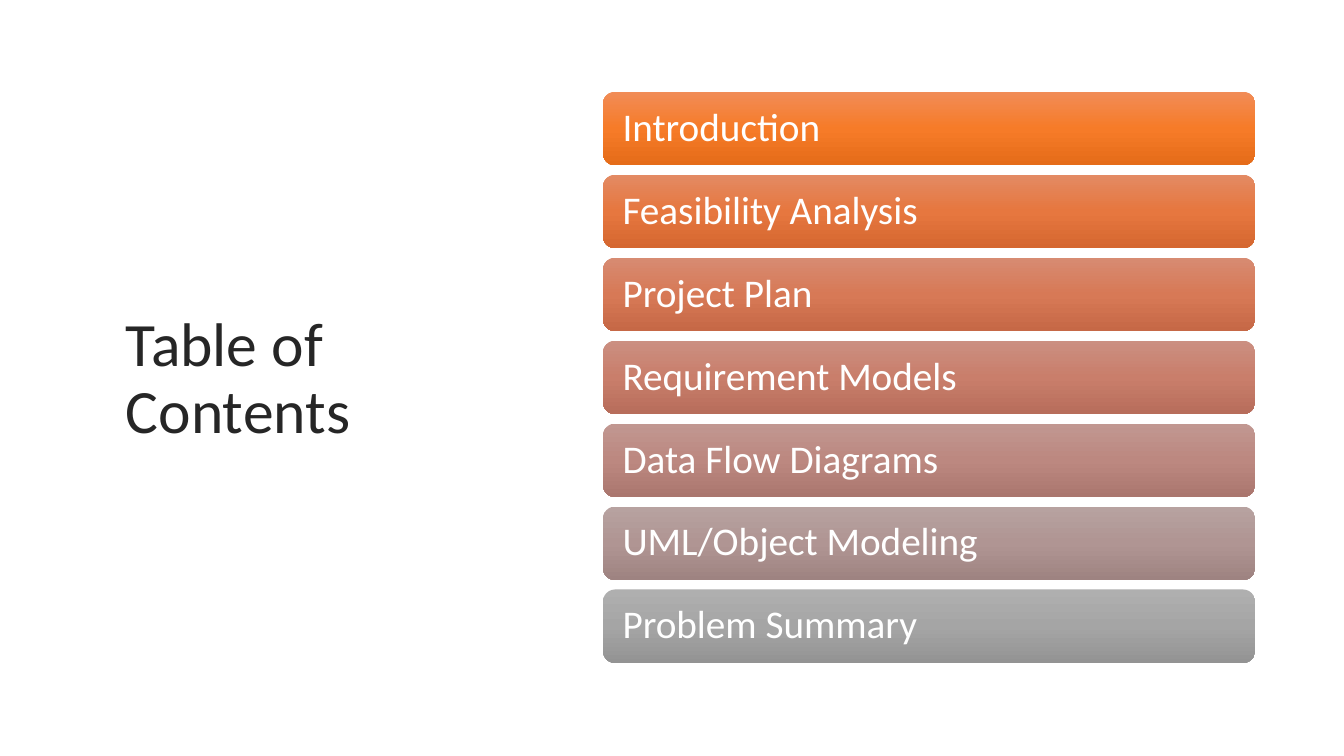
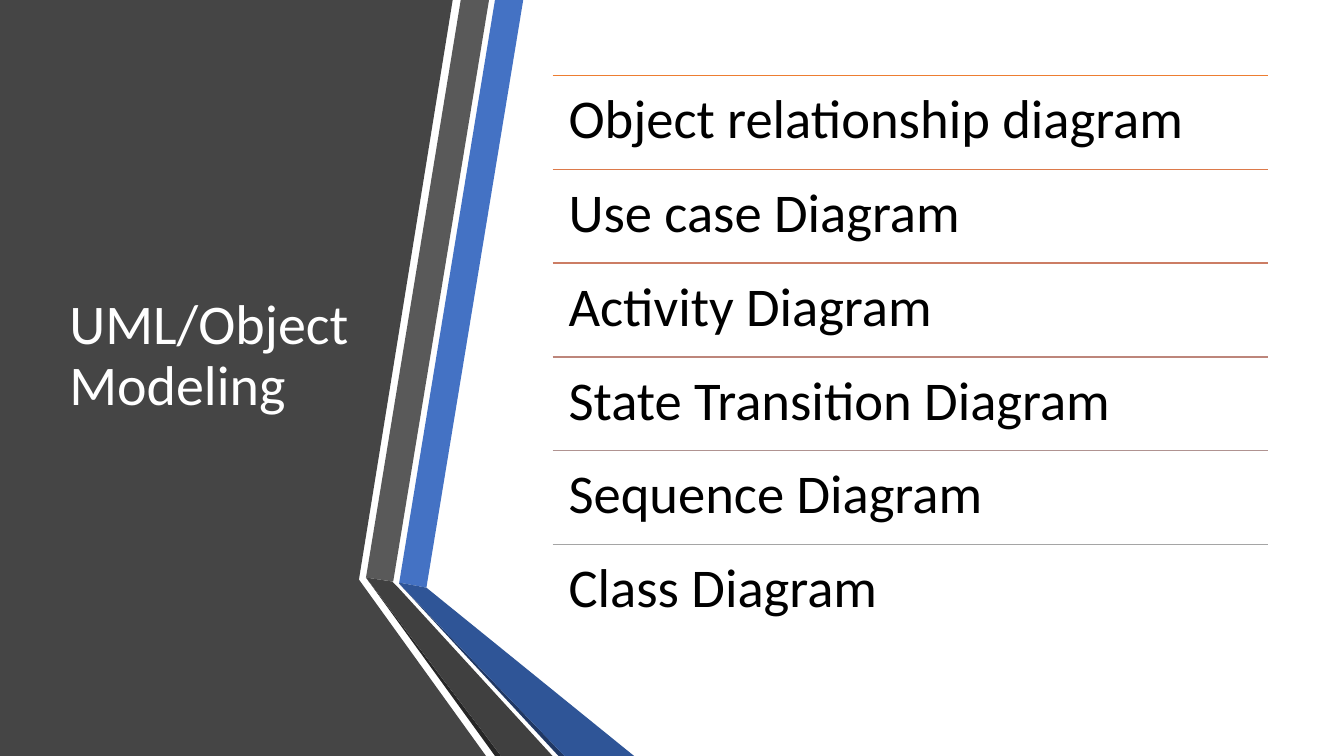
from copy import deepcopy
from dataclasses import dataclass

from pptx import Presentation, util as u
from pptx.dml.color import RGBColor
from pptx.enum import shapes, text
from pptx.oxml.ns import qn
from pptx.oxml.xmlchemy import OxmlElement

SLIDE_W, SLIDE_H = 13.33, 7.5
FONT = "Calibri"
WHITE = RGBColor(0xFF, 0xFF, 0xFF)
BLACK = RGBColor(0x00, 0x00, 0x00)
INK = RGBColor(0x26, 0x26, 0x26)
PANEL = RGBColor(0x45, 0x45, 0x45)
GREY = RGBColor(0x59, 0x59, 0x59)
DARK_GREY = RGBColor(0x40, 0x40, 0x40)
BLUE = RGBColor(0x44, 0x72, 0xC4)
DARK_BLUE = RGBColor(0x2F, 0x55, 0x97)
NAVY = RGBColor(0x20, 0x38, 0x64)


@dataclass(frozen=True)
class Box:
    left: float
    top: float
    width: float
    height: float

    def emu(self) -> list[int]:
        return [u.Inches(v) for v in (self.left, self.top, self.width, self.height)]


@dataclass(frozen=True)
class Stack:
    """Equal rows, one every pitch inches."""
    left: float
    top: float
    width: float
    height: float
    pitch: float

    def row(self, i: int) -> Box:
        return Box(self.left, self.top + i * self.pitch, self.width, self.height)


@dataclass(frozen=True)
class Bar:
    label: str
    stops: tuple[str, str, str]


@dataclass(frozen=True)
class Topic:
    label: str
    rule: str


@dataclass(frozen=True)
class Facet:
    color: RGBColor
    points: tuple[tuple[float, float], ...]


BARS = (
    Bar("Introduction", ("F18C57", "F67B28", "E56C19")),
    Bar("Feasibility Analysis", ("E38A63", "E6773F", "D56730")),
    Bar("Project Plan", ("D78B72", "D77956", "C66846")),
    Bar("Requirement Models", ("CB8F81", "C97E6B", "B76D5B")),
    Bar("Data Flow Diagrams", ("C19791", "BC8880", "AA766E")),
    Bar("UML/Object Modeling", ("B7A2A0", "B09593", "9E8381")),
    Bar("Problem Summary", ("AFAFAF", "A5A5A5", "939393")),
)
BAR_STACK = Stack(5.98, 0.91, 6.47, 0.73, 0.823)

TOPICS = (
    Topic("Object relationship diagram", "ED7D31"),
    Topic("Use case Diagram", "DC7A4B"),
    Topic("Activity Diagram", "CC7D64"),
    Topic("State Transition Diagram", "BD867B"),
    Topic("Sequence Diagram", "B09391"),
    Topic("Class Diagram", "A5A5A5"),
)
TOPIC_STACK = Stack(5.48, 0.75, 7.1, 0.93, 0.93)

FACETS = (
    Facet(PANEL, ((0, 0), (4.49, 0), (3.56, 5.75), (4.82, SLIDE_H), (0, SLIDE_H))),
    Facet(BLUE, ((3.96, 5.78), (4.23, 5.83), (5.19, 0), (4.91, 0))),
    Facet(GREY, ((4.85, 0), (4.57, 0), (3.63, 5.73), (3.9, 5.77))),
    Facet(INK, ((3.63, 5.73), (4.91, SLIDE_H), (4.97, SLIDE_H))),
    Facet(NAVY, ((3.96, 5.79), (5.54, SLIDE_H), (5.6, SLIDE_H))),
    Facet(DARK_BLUE, ((3.96, 5.79), (5.6, SLIDE_H), (6.29, SLIDE_H), (4.23, 5.83), (3.96, 5.78))),
    Facet(DARK_GREY, ((5.48, SLIDE_H), (3.95, 5.83), (3.89, 5.77), (3.63, 5.73), (4.97, SLIDE_H))),
)


def write(sp, label: str, size: float, color: RGBColor, anchor, inset: float | None = None) -> None:
    tf = sp.text_frame
    tf.text = label
    tf.word_wrap = True
    tf.vertical_anchor = anchor
    if inset is not None:
        tf.margin_left = tf.margin_right = tf.margin_top = tf.margin_bottom = u.Inches(inset)
    p = tf.paragraphs[0]
    p.alignment = text.PP_ALIGN.LEFT
    p.line_spacing = 0.9
    font = p.runs[0].font
    font.name, font.size = FONT, u.Pt(size)
    font.color.rgb = color


def add_title(s, label: str, box: Box, size: float, color: RGBColor) -> None:
    sp = s.shapes.add_textbox(*box.emu())
    write(sp, label, size, color, text.MSO_ANCHOR.MIDDLE)


def fill_gradient(sp, colors: tuple[str, ...]) -> None:
    """Fill from top to bottom with evenly spaced colours."""
    sp.fill.gradient()
    sp.fill.gradient_angle = 270
    stop_list = sp._element.spPr.find(qn("a:gradFill")).find(qn("a:gsLst"))
    while len(stop_list) < len(colors):
        stop_list.append(deepcopy(stop_list[0]))
    for i, (stop, color) in enumerate(zip(sp.fill.gradient_stops, colors)):
        stop.position = i / (len(colors) - 1)
        stop.color.rgb = RGBColor.from_string(color)


def add_bar(s, bar: Bar, box: Box) -> None:
    sp = s.shapes.add_shape(shapes.MSO_SHAPE.ROUNDED_RECTANGLE, *box.emu())
    sp.shadow.inherit = False
    sp.line.fill.background()
    fill_gradient(sp, bar.stops)
    write(sp, bar.label, 28, WHITE, text.MSO_ANCHOR.MIDDLE, 0.16)


def add_topic(s, topic: Topic, box: Box) -> None:
    left, top, width, height = box.emu()
    rule = s.shapes.add_connector(shapes.MSO_CONNECTOR.STRAIGHT, left, top, left + width, top)
    rule.line.color.rgb = RGBColor.from_string(topic.rule)
    rule.line.width = u.Pt(1)
    rule._element.spPr.append(OxmlElement("a:effectLst"))
    sp = s.shapes.add_textbox(left, top, width, height)
    write(sp, topic.label, 39, BLACK, text.MSO_ANCHOR.TOP, 0.16)


def add_facet(s, facet: Facet) -> None:
    points = [(u.Inches(x), u.Inches(y)) for x, y in facet.points]
    builder = s.shapes.build_freeform(*points[0])
    builder.add_line_segments(points[1:], close=True)
    sp = builder.convert_to_shape()
    sp.shadow.inherit = False
    sp.fill.solid()
    sp.fill.fore_color.rgb = facet.color
    sp.line.fill.background()


def add_slide(prs):
    s = prs.slides.add_slide(prs.slide_layouts[6])
    s.background.fill.solid()
    s.background.fill.fore_color.rgb = WHITE
    return s


def build_contents(prs) -> None:
    s = add_slide(prs)
    add_title(s, "Table of Contents", Box(1.15, 1.15, 2.77, 5.24), 44, INK)
    for i, bar in enumerate(BARS):
        add_bar(s, bar, BAR_STACK.row(i))


def build_modeling(prs) -> None:
    s = add_slide(prs)
    for facet in FACETS:
        add_facet(s, facet)
    add_title(s, "UML/Object Modeling", Box(0.59, 0.75, 3.04, 5.58), 40, WHITE)
    for i, topic in enumerate(TOPICS):
        add_topic(s, topic, TOPIC_STACK.row(i))


def main() -> None:
    prs = Presentation()
    prs.slide_width, prs.slide_height = u.Inches(SLIDE_W), u.Inches(SLIDE_H)
    build_contents(prs)
    build_modeling(prs)
    prs.save("out.pptx")


if __name__ == "__main__":
    main()
